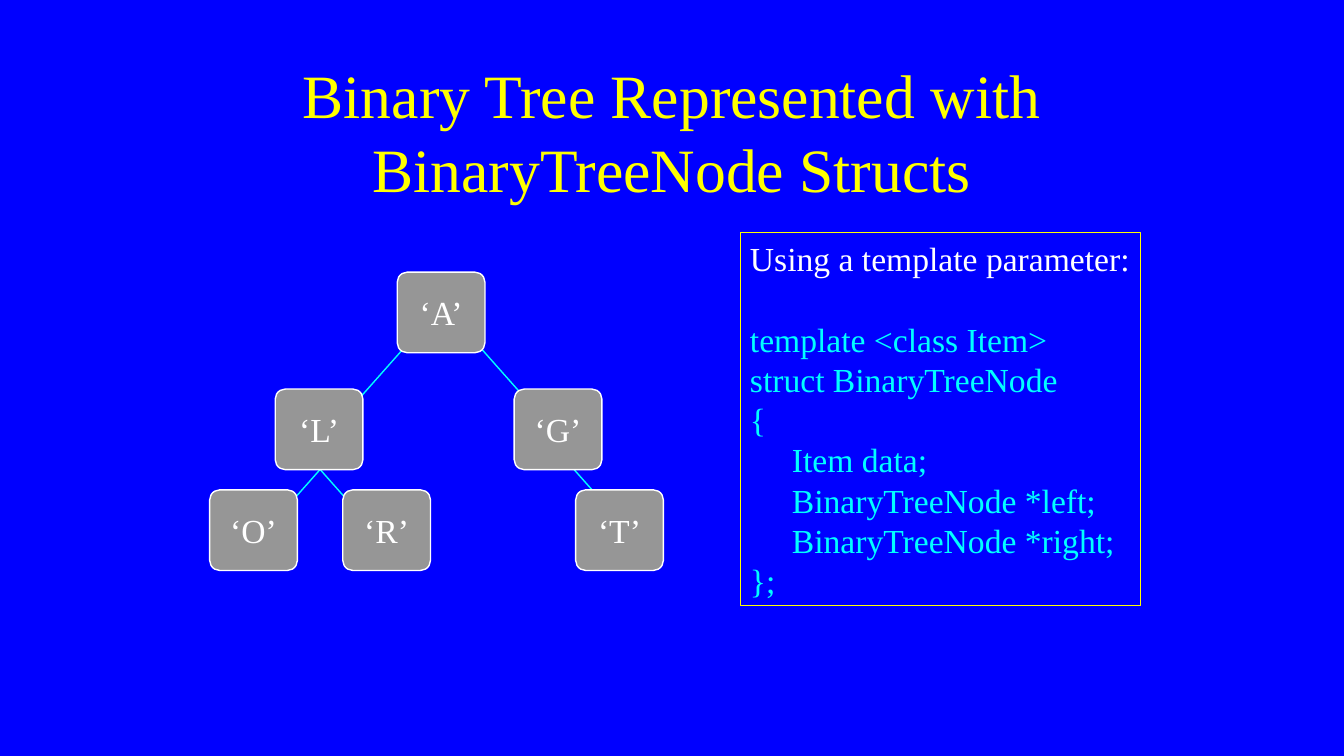
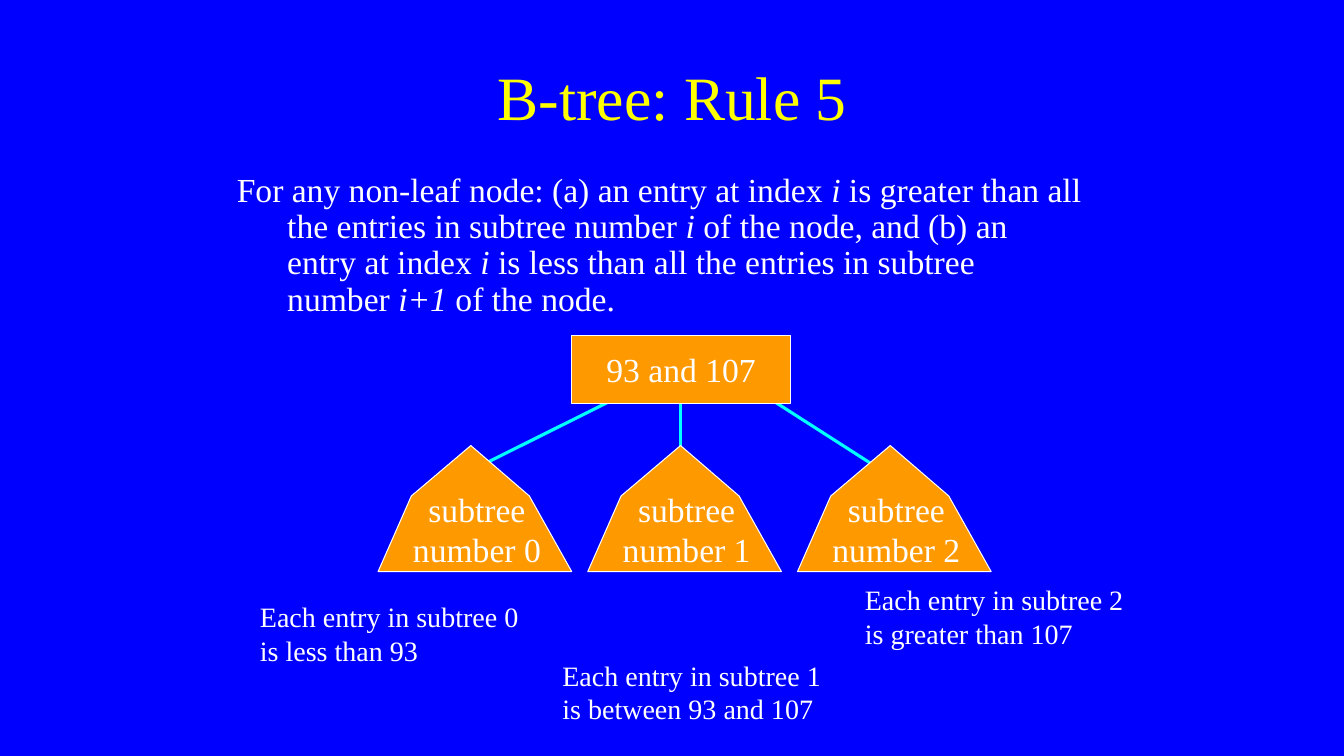
from dataclasses import dataclass
from lxml.etree import SubElement
from pptx import Presentation
from pptx.dml.color import RGBColor
from pptx.enum.shapes import MSO_CONNECTOR, MSO_SHAPE
from pptx.enum.text import MSO_ANCHOR, PP_ALIGN
from pptx.oxml.ns import qn
from pptx.util import Inches, Pt


@dataclass(frozen=True)
class Theme:
    font: str = "Times New Roman"
    background: str = "0000FF"
    title: str = "FFFF00"
    text: str = "FFFFFF"
    accent: str = "00FFFF"
    node: str = "969696"
    subtree: str = "FF9900"
    title_size: int = 44
    body_size: int = 24
    note_size: int = 20
    blank_line: float = 28.8


T = Theme()

BINARY_TITLE = "Binary Tree Represented with BinaryTreeNode Structs"
NODE_SIZE = (0.87, 0.8)
NODES = [
    ("A", 3.94, 2.7),
    ("L", 2.73, 3.86),
    ("G", 5.1, 3.86),
    ("O", 2.08, 4.86),
    ("R", 3.4, 4.86),
    ("T", 5.71, 4.86),
]
LEFT, RIGHT = -1, 1
BRANCH_RUN, BRANCH_DROP = 0.62, 0.7
BRANCHES = [
    (4, 3.46, LEFT),
    (4.73, 3.41, RIGHT),
    (3.35, 4.46, LEFT),
    (3, 4.46, RIGHT),
    (5.58, 4.53, RIGHT),
]
CODE_HEADING = "Using a template parameter:"
CODE = [
    "template <class Item>",
    "struct BinaryTreeNode",
    "{",
    "     Item data;",
    "     BinaryTreeNode *left;",
    "     BinaryTreeNode *right;",
    "};",
]

RULE_TITLE = "B-tree: Rule 5"
RULE = [
    ("For any non-leaf node: (a) an entry at index ", False),
    ("i", True),
    (" is greater than all the entries in subtree number ", False),
    ("i", True),
    (" of the node, and (b) an entry at index ", False),
    ("i", True),
    (" is less than all the entries in subtree number ", False),
    ("i+1", True),
    (" of the node.", False),
]
ROOT = "93 and 107"
LINKS = [(6.17, 4.67), (6.75, 6.75), (7.58, 8.75)]
LINK_TOP, LINK_BOTTOM = 3.92, 4.67
SUBTREE_LEFT, SUBTREE_TOP, SUBTREE_STEP = 3.75, 4.42, 2.08
SUBTREE_OUTLINE = [(0.92, 0), (0.33, 0.5), (0, 1.25), (1.92, 1.25), (1.5, 0.5)]
NOTES = [
    ("Each entry in subtree 0 is less than 93", 2.48, 5.9),
    ("Each entry in subtree 1 is between 93 and 107", 5.48, 6.48),
    ("Each entry in subtree 2 is greater than 107", 8.48, 5.73),
]


def rgb(color):
    return RGBColor.from_string(color)


def write(tf, lines, size=T.body_size, color=T.text, align=PP_ALIGN.LEFT,
          anchor=MSO_ANCHOR.TOP, wrap=False):
    tf.word_wrap = wrap
    tf.vertical_anchor = anchor
    for i, line in enumerate(lines):
        p = tf.paragraphs[0] if i == 0 else tf.add_paragraph()
        p.alignment = align
        p.font.name = T.font
        p.font.size = Pt(size)
        p.font.color.rgb = rgb(color)
        for text, italic in [(line, False)] if isinstance(line, str) else line:
            r = p.add_run()
            r.text = text
            if italic:
                r.font.italic = True
    return tf.paragraphs


def add_text(s, box, lines, **style):
    sp = s.shapes.add_textbox(*map(Inches, box))
    return write(sp.text_frame, lines, **style)


def paint(sp, fill, line, width):
    sp.shadow.inherit = False
    if fill:
        sp.fill.solid()
        sp.fill.fore_color.rgb = rgb(fill)
    else:
        sp.fill.background()
    sp.line.color.rgb = rgb(line)
    sp.line.width = Pt(width)
    return sp


def add_box(s, kind, box, fill, line=T.text, width=0.75):
    return paint(s.shapes.add_shape(kind, *map(Inches, box)), fill, line, width)


def add_edge(s, x1, y1, x2, y2, width):
    c = s.shapes.add_connector(
        MSO_CONNECTOR.STRAIGHT, *map(Inches, (x1, y1, x2, y2)))
    c.line.color.rgb = rgb(T.accent)
    c.line.width = Pt(width)
    SubElement(c._element.spPr, qn("a:effectLst"))


def add_slide(prs, title, box):
    s = prs.slides.add_slide(prs.slide_layouts[6])
    s.background.fill.solid()
    s.background.fill.fore_color.rgb = rgb(T.background)
    add_text(s, box, [title], size=T.title_size, color=T.title,
             align=PP_ALIGN.CENTER, anchor=MSO_ANCHOR.MIDDLE, wrap=True)
    return s


def binary_tree_slide(prs):
    s = add_slide(prs, BINARY_TITLE, (1, 0.67, 11.33, 1.25))
    for x, y, side in BRANCHES:
        add_edge(s, x, y, x + side * BRANCH_RUN, y + BRANCH_DROP, 1)
    for name, x, y in NODES:
        sp = add_box(s, MSO_SHAPE.ROUNDED_RECTANGLE, (x, y, *NODE_SIZE),
                     T.node, width=1)
        sp.adjustments[0] = 0.125
        write(sp.text_frame, [f"‘{name}’"], align=PP_ALIGN.CENTER,
              anchor=MSO_ANCHOR.MIDDLE)
    sp = add_box(s, MSO_SHAPE.RECTANGLE, (7.34, 2.31, 3.97, 3.7), None, T.title)
    heading, first, *_ = write(sp.text_frame, [CODE_HEADING, *CODE],
                               color=T.accent)
    heading.font.color.rgb = rgb(T.text)
    first.space_before = Pt(T.blank_line)


def rule_slide(prs):
    s = add_slide(prs, RULE_TITLE, (2.42, 0.33, 8.5, 1.25))
    for top_x, bottom_x in LINKS:
        add_edge(s, top_x, LINK_TOP, bottom_x, LINK_BOTTOM, 2.25)
    root = add_box(s, MSO_SHAPE.RECTANGLE, (5.67, 3.33, 2.17, 0.67), T.subtree)
    write(root.text_frame, [ROOT], align=PP_ALIGN.CENTER,
          anchor=MSO_ANCHOR.MIDDLE)
    for i, (note, note_x, note_y) in enumerate(NOTES):
        x = SUBTREE_LEFT + i * SUBTREE_STEP
        start, *rest = [(Inches(x + dx), Inches(SUBTREE_TOP + dy))
                        for dx, dy in SUBTREE_OUTLINE]
        fb = s.shapes.build_freeform(*start)
        fb.add_line_segments(rest, close=True)
        paint(fb.convert_to_shape(), T.subtree, T.text, 0.75)
        add_text(s, (x + 0.24, 4.8, 1.48, 0.91), ["subtree", f"number {i}"],
                 align=PP_ALIGN.CENTER)
        add_text(s, (note_x, note_y, 2.93, 0.77), [note], size=T.note_size,
                 wrap=True)
    p = add_text(s, (2.25, 1.67, 8.58, 1.56), [RULE], wrap=True)[0]
    p.line_spacing = 0.9
    pPr = p._p.get_or_add_pPr()
    pPr.set("marL", str(Inches(0.5)))
    pPr.set("indent", str(Inches(-0.5)))


def main():
    prs = Presentation()
    prs.slide_width, prs.slide_height = Inches(13.33), Inches(7.5)
    binary_tree_slide(prs)
    rule_slide(prs)
    prs.save("out.pptx")


if __name__ == "__main__":
    main()
